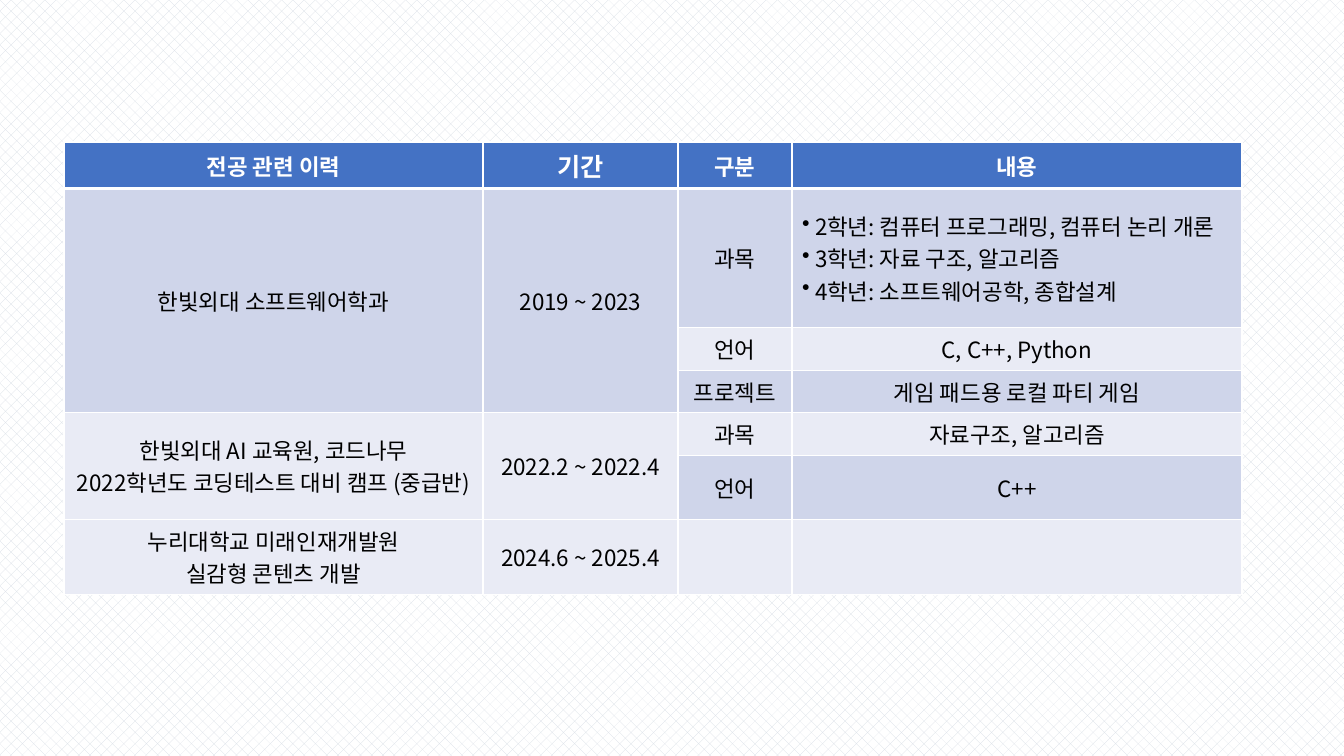
from lxml.etree import SubElement
from pptx import Presentation
from pptx.dml.color import RGBColor
from pptx.enum.dml import MSO_PATTERN
from pptx.enum.text import MSO_ANCHOR, PP_ALIGN
from pptx.oxml.ns import qn
from pptx.util import Pt

EMU_PER_PX = 914400 / 100.8
FONT = "Noto Sans CJK KR"
COLORS = {
    "white": "FFFFFF",
    "black": "000000",
    "pattern": "D6DCE5",
    "header": "4472C4",
    "dark_band": "CFD5EA",
    "light_band": "E9EBF5",
}
COLUMN_WIDTHS = [419, 195, 114, 450]
ROW_HEIGHTS = [46, 139, 42, 42, 43, 64, 75]
ROW_FILLS = ["header", "dark_band", "light_band", "dark_band",
             "light_band", "dark_band", "light_band"]
MERGED_ROWS = [(1, 3), (4, 5)]
SUBJECTS = [
    "2학년: 컴퓨터 프로그래밍, 컴퓨터 논리 개론",
    "3학년: 자료 구조, 알고리즘",
    "4학년: 소프트웨어공학, 종합설계",
]
ROWS = [
    ["전공 관련 이력", "기간", "구분", "내용"],
    ["한빛외대 소프트웨어학과", "2019 ~ 2023", "과목", SUBJECTS],
    ["", "", "언어", "C, C++, Python"],
    ["", "", "프로젝트", "게임 패드용 로컬 파티 게임"],
    ["한빛외대 AI 교육원, 코드나무\n2022학년도 코딩테스트 대비 캠프 (중급반)",
     "2022.2 ~ 2022.4", "과목", "자료구조, 알고리즘"],
    ["", "", "언어", "C++"],
    ["누리대학교 미래인재개발원\n실감형 콘텐츠 개발", "2024.6 ~ 2025.4", "", ""],
]


def px(length):
    return round(length * EMU_PER_PX)


def color(name):
    return RGBColor.from_string(COLORS[name])


def set_background(slide):
    fill = slide.background.fill
    fill.patterned()
    fill.pattern = MSO_PATTERN.PERCENT_25
    fill.fore_color.rgb = color("pattern")
    fill.back_color.rgb = color("white")


def set_borders(cell, bottom_width, top_width):
    properties = cell._tc.get_or_add_tcPr()
    widths = {"lnL": 1, "lnR": 1, "lnT": top_width, "lnB": bottom_width}
    for side, width in widths.items():
        line = SubElement(properties, qn(f"a:{side}"), w=str(Pt(width)))
        fill = SubElement(line, qn("a:solidFill"))
        SubElement(fill, qn("a:srgbClr"), val=COLORS["white"])


def style_paragraph(paragraph, size, color_name, bold):
    font = paragraph.font
    font.size = Pt(size)
    font.bold = bold
    font.color.rgb = color(color_name)
    font.name = FONT
    defaults = paragraph._p.pPr.find(qn("a:defRPr"))
    SubElement(defaults, qn("a:ea"), typeface=FONT)


def add_bullet(paragraph):
    properties = paragraph._p.get_or_add_pPr()
    properties.set("marL", str(px(13)))
    properties.set("indent", str(-px(13)))
    bullet = properties.makeelement(qn("a:buChar"), {"char": "•"})
    properties.insert(0, bullet)


def fill_cell(cell, content, row, column):
    is_header = row == 0
    set_borders(cell, 3 if is_header else 1, 3 if row == 1 else 1)
    band = ROW_FILLS[row]
    cell.fill.solid()
    cell.fill.fore_color.rgb = color(band)
    cell.vertical_anchor = MSO_ANCHOR.MIDDLE
    is_list = isinstance(content, list)
    frame = cell.text_frame
    for index, text in enumerate(content if is_list else [content]):
        paragraph = frame.add_paragraph() if index else frame.paragraphs[0]
        paragraph.text = text
        style_paragraph(paragraph, 18 if is_header and column == 1 else 16,
                        "white" if is_header else "black", is_header)
        if is_list:
            add_bullet(paragraph)
        else:
            paragraph.alignment = PP_ALIGN.CENTER


def add_career_table(slide, left, top):
    frame = slide.shapes.add_table(
        len(ROWS), len(COLUMN_WIDTHS), px(left), px(top),
        px(sum(COLUMN_WIDTHS)), px(sum(ROW_HEIGHTS)))
    table = frame.table
    table.horz_banding = False
    for column, width in zip(table.columns, COLUMN_WIDTHS):
        column.width = px(width)
    for row, height in zip(table.rows, ROW_HEIGHTS):
        row.height = px(height)
    for row, contents in enumerate(ROWS):
        for column, content in enumerate(contents):
            fill_cell(table.cell(row, column), content, row, column)
    for first, last in MERGED_ROWS:
        for column in range(2):
            table.cell(first, column).merge(table.cell(last, column))


def main():
    presentation = Presentation()
    presentation.slide_width = px(1344)
    presentation.slide_height = px(756)
    slide = presentation.slides.add_slide(presentation.slide_layouts[6])
    set_background(slide)
    add_career_table(slide, 64, 142)
    presentation.save("out.pptx")


if __name__ == "__main__":
    main()
